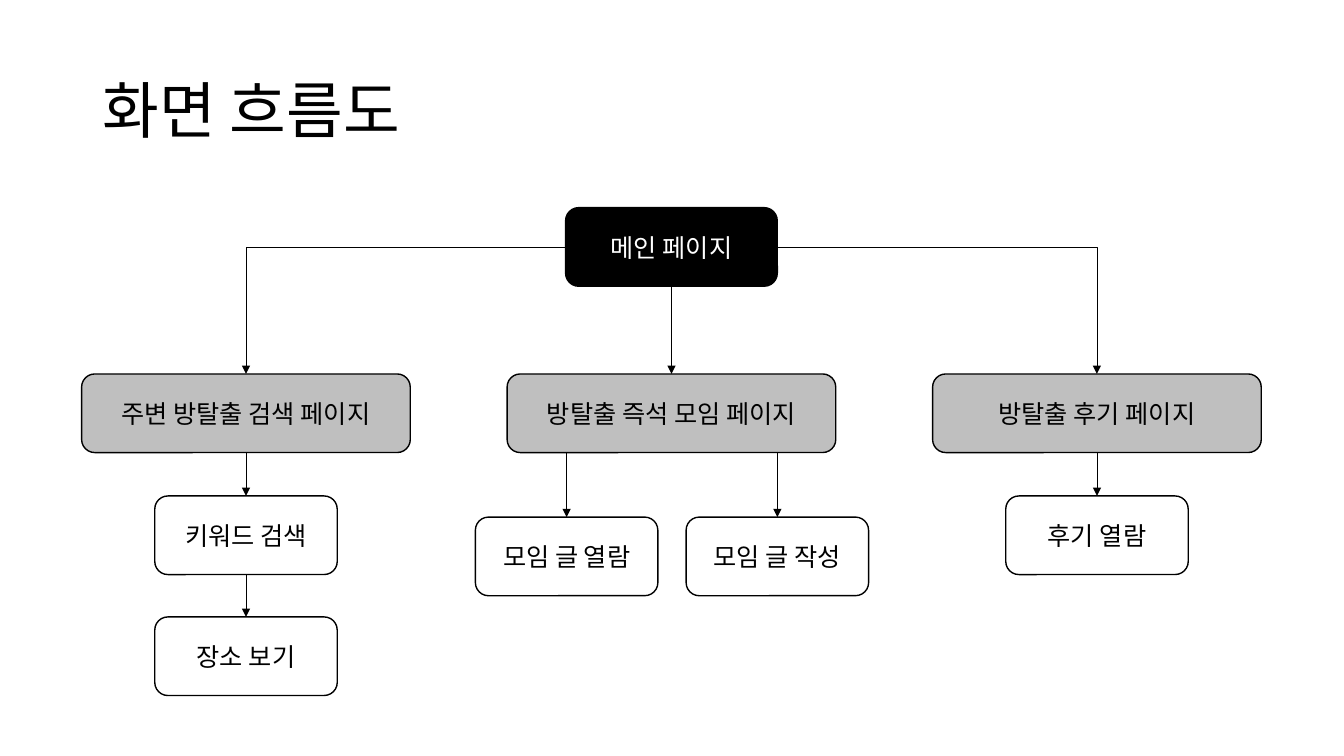
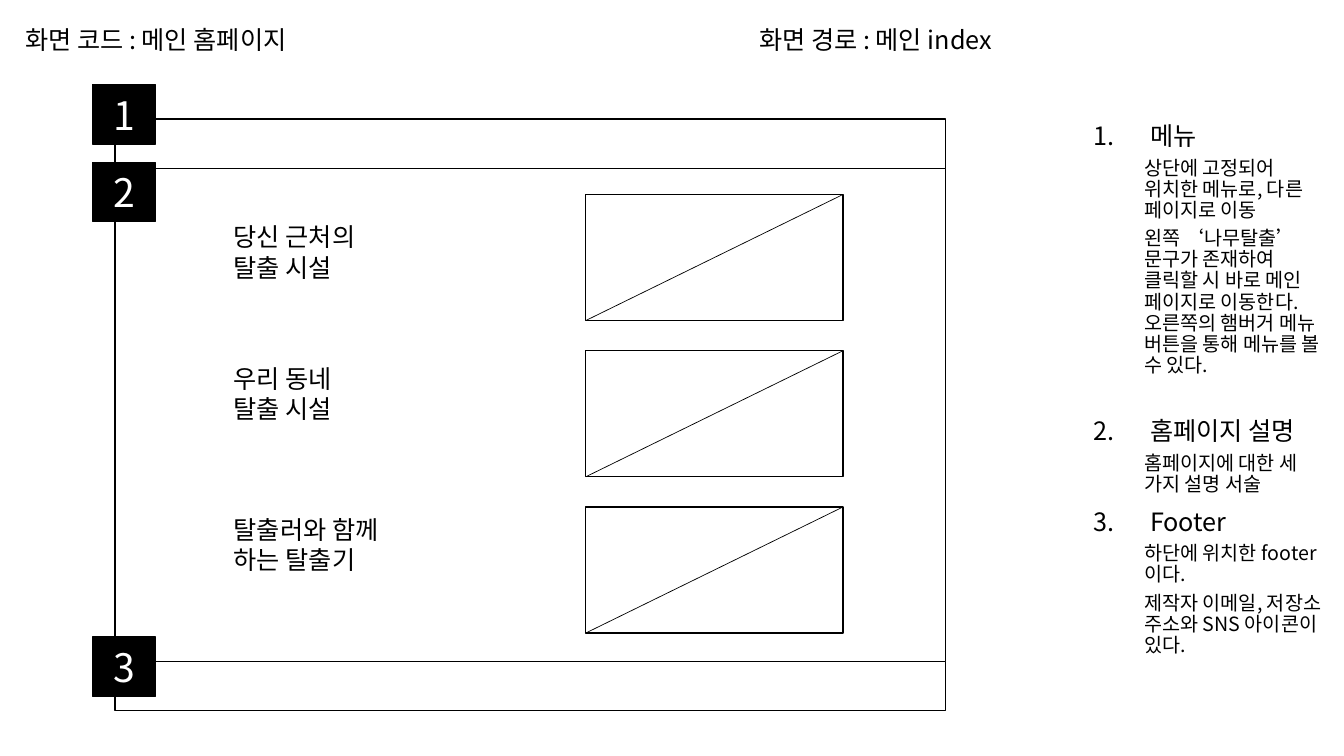
import pptx
import pptx.dml.color
import pptx.enum.shapes
import pptx.enum.text
import pptx.oxml
import pptx.oxml.ns
import pptx.util

Inches = pptx.util.Inches
Pt = pptx.util.Pt
qn = pptx.oxml.ns.qn
SHAPE = pptx.enum.shapes.MSO_SHAPE
CONNECTOR = pptx.enum.shapes.MSO_CONNECTOR
ANCHOR = pptx.enum.text.MSO_ANCHOR
ALIGN = pptx.enum.text.PP_ALIGN

FONT = "Noto Sans CJK KR"
BLACK, GRAY, WHITE = "000000", "BFBFBF", "FFFFFF"
TOP, LEFT, BOTTOM, RIGHT = range(4)


def color(hex_value):
    """Turn a hex string into a colour."""
    return pptx.dml.color.RGBColor.from_string(hex_value)


def sub(parent, tag, **attributes):
    """Append an XML child with the given attributes."""
    child = pptx.oxml.parse_xml(f"<{tag} {pptx.oxml.ns.nsdecls('a')}/>")
    for name, value in attributes.items():
        child.set(name, value)
    parent.append(child)


def write(paragraph, text, size, ink=BLACK):
    """Add one run in the shared font."""
    run = paragraph.add_run()
    run.text = text
    run.font.size = Pt(size)
    run.font.name = FONT
    run.font.color.rgb = color(ink)
    sub(run.font._element, "a:ea", typeface=FONT)


def text_box(slide, box, lines, size, spacing=1.0, anchor=ANCHOR.TOP):
    """Place a wrapping text box with one paragraph for each line."""
    frame = slide.shapes.add_textbox(*map(Inches, box)).text_frame
    frame.word_wrap = True
    frame.vertical_anchor = anchor
    for index, line in enumerate(lines):
        paragraph = frame.add_paragraph() if index else frame.paragraphs[0]
        paragraph.line_spacing = spacing
        write(paragraph, line, size)


def block(slide, box, fill, text="", size=18, ink=BLACK, kind=SHAPE.RECTANGLE):
    """Place an outlined box with optional centred text."""
    shape = slide.shapes.add_shape(kind, *map(Inches, box))
    shape.shadow.inherit = False
    shape.fill.solid()
    shape.fill.fore_color.rgb = color(fill)
    shape.line.color.rgb = color(BLACK)
    shape.line.width = Pt(1)
    if text:
        frame = shape.text_frame
        frame.vertical_anchor = ANCHOR.MIDDLE
        frame.paragraphs[0].alignment = ALIGN.CENTER
        write(frame.paragraphs[0], text, size, ink)
    return shape


def line(slide, start, end, arrow=False, kind=CONNECTOR.STRAIGHT):
    """Draw a thin connector between two points."""
    connector = slide.shapes.add_connector(kind, *map(Inches, (*start, *end)))
    connector.line.color.rgb = color(BLACK)
    connector.line.width = Pt(0.5)
    if arrow:
        sub(connector.line._get_or_add_ln(), "a:tailEnd", type="triangle")
    sub(connector._element.spPr, "a:effectLst")
    return connector


def arrow_between(slide, source, source_side, target):
    """Join a side of one box to the top of another, bending once from a side."""
    bent = source_side in (LEFT, RIGHT)
    kind = CONNECTOR.ELBOW if bent else CONNECTOR.STRAIGHT
    arrow = line(slide, (0, 0), (1, 1), True, kind)
    arrow.begin_connect(source, source_side)
    arrow.end_connect(target, TOP)
    if bent:
        arrow._element.spPr.find(qn("a:prstGeom")).set("prst", "bentConnector2")


def flow_chart(slide, left, top):
    """Draw the page tree from its top left corner."""
    height, page_width, step_width, pitch = 0.78, 3.26, 1.81, 4.22
    page_top, step_top, step_pitch = top + 1.65, top + 2.86, 1.2
    centers = [left + page_width / 2 + pitch * column for column in range(3)]

    def node(center, node_top, width, fill, text, ink=BLACK):
        """Place a rounded box around a centre line."""
        box = (center - width / 2, node_top, width, height)
        return block(slide, box, fill, text, ink=ink, kind=SHAPE.ROUNDED_RECTANGLE)

    main_page = node(centers[1], top, 2.1, BLACK, "메인 페이지", WHITE)
    branches = (
        ("주변 방탈출 검색 페이지", LEFT, ("키워드 검색", "장소 보기")),
        ("방탈출 즉석 모임 페이지", BOTTOM, ()),
        ("방탈출 후기 페이지", RIGHT, ("후기 열람",)),
    )
    for center, (title, side, steps) in zip(centers, branches):
        previous = node(center, page_top, page_width, GRAY, title)
        arrow_between(slide, main_page, side, previous)
        for row, step in enumerate(steps):
            current = node(center, step_top + row * step_pitch, step_width, WHITE, step)
            arrow_between(slide, previous, BOTTOM, current)
            previous = current

    for offset, text in ((-1.04, "모임 글 열람"), (1.05, "모임 글 작성")):
        center, meeting_top = centers[1] + offset, top + 3.07
        meeting = node(center, meeting_top, step_width, WHITE, text)
        arrow = line(slide, (center, page_top + height), (center, meeting_top), True)
        arrow.end_connect(meeting, TOP)


def wireframe(slide, left, top, width, height):
    """Draw the home page mock-up with numbered areas inside the given box."""
    bar = 0.49
    footer_top = top + height - bar
    for area_top, area_height in (
        (top, bar),
        (top + bar, height - 2 * bar),
        (footer_top, bar),
    ):
        block(slide, (left, area_top, width, area_height), WHITE)

    marker_tops = (top - 0.34, top + 0.43, footer_top - 0.24)
    for number, marker_top in enumerate(marker_tops, 1):
        box = (left - 0.22, marker_top, 0.62, 0.59)
        block(slide, box, BLACK, str(number), 28, WHITE)

    picture_left, picture_width, picture_height = left + 4.67, 2.55, 1.25
    features = (
        (0.97, ("당신 근처의", "탈출 시설")),
        (2.37, ("우리 동네", "탈출 시설")),
        (3.87, ("탈출러와 함께 하는 탈출기",)),
    )
    for row, (caption_top, caption) in enumerate(features):
        picture_top = top + 0.75 + row * 1.55
        block(slide, (picture_left, picture_top, picture_width, picture_height), WHITE)
        line(
            slide,
            (picture_left + picture_width, picture_top),
            (picture_left, picture_top + picture_height),
        )
        text_box(slide, (left + 1.08, top + caption_top, 2.08, 0.71), caption, 18)


def description(slide, box):
    """Write the numbered explanation of each area."""
    sections = (
        ("메뉴", 10, (
            "상단에 고정되어 위치한 메뉴로, 다른 페이지로 이동",
            "왼쪽 ‘나무탈출’ 문구가 존재하여 클릭할 시 바로 메인 페이지로 이동한다. "
            "오른쪽의 햄버거 메뉴 버튼을 통해 메뉴를 볼 수 있다.",
        )),
        ("홈페이지 설명", 30, ("홈페이지에 대한 세 가지 설명 서술",)),
        ("Footer", 10, (
            "하단에 위치한 footer이다.",
            "제작자 이메일, 저장소 주소와 SNS 아이콘이 있다.",
        )),
    )
    frame = slide.shapes.add_textbox(*map(Inches, box)).text_frame
    frame.word_wrap = True

    def entry(text, size, level, before, margin, indent):
        """Add an indented paragraph and return its properties."""
        first = not frame.paragraphs[0].runs
        paragraph = frame.paragraphs[0] if first else frame.add_paragraph()
        paragraph.level = level
        paragraph.line_spacing = 0.9
        paragraph.space_before = Pt(before)
        write(paragraph, text, size)
        properties = paragraph._p.get_or_add_pPr()
        properties.set("marL", str(Inches(margin)))
        properties.set("indent", str(Inches(indent)))
        return properties

    for heading, before, details in sections:
        properties = entry(heading, 18, 0, before, 0.56, -0.56)
        sub(properties, "a:buFont", typeface=FONT)
        sub(properties, "a:buAutoNum", type="arabicPeriod")
        for detail in details:
            entry(detail, 14, 1, 5, 0.5, 0)


def flow_slide(slide):
    """Build the screen flow slide."""
    text_box(slide, (0.92, 0.4, 11.5, 1.45), ["화면 흐름도"], 44, 0.9, ANCHOR.MIDDLE)
    flow_chart(slide, 0.81, 2.06)


def screen_slide(slide):
    """Build the home page specification slide."""
    for left, text in (
        (0.15, "화면 코드 : 메인 홈페이지"),
        (7.43, "화면 경로 : 메인 index"),
    ):
        text_box(slide, (left, 0.16, 5.75, 0.49), [text], 18, 0.9, ANCHOR.MIDDLE)
    description(slide, (10.75, 1.18, 2.5, 6.16))
    wireframe(slide, 1.14, 1.18, 8.24, 5.87)


def main():
    """Create and save the presentation."""
    deck = pptx.Presentation()
    deck.slide_width, deck.slide_height = Inches(13.33), Inches(7.5)
    for build in (flow_slide, screen_slide):
        build(deck.slides.add_slide(deck.slide_layouts[6]))
    deck.save("out.pptx")


if __name__ == "__main__":
    main()
